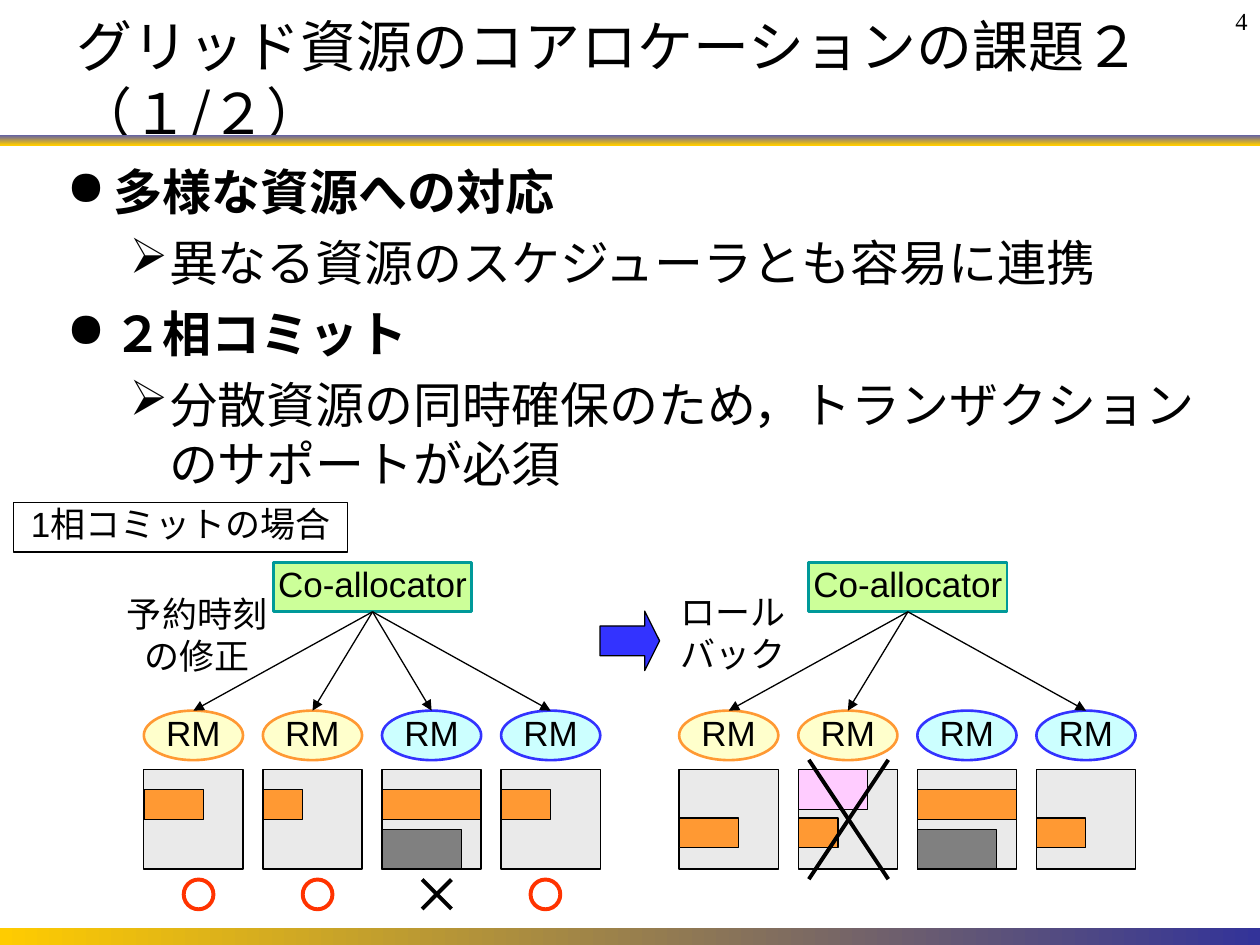
from lxml import etree
from pptx import Presentation
from pptx.dml.color import RGBColor
from pptx.enum.shapes import MSO_CONNECTOR, MSO_SHAPE
from pptx.enum.text import MSO_ANCHOR, MSO_AUTO_SIZE, PP_ALIGN
from pptx.oxml.ns import qn
from pptx.util import Pt

RECT, OVAL, ARROW = MSO_SHAPE.RECTANGLE, MSO_SHAPE.OVAL, MSO_SHAPE.RIGHT_ARROW
LINE = MSO_CONNECTOR.STRAIGHT
LEFT, MID, RIGHT = PP_ALIGN.LEFT, PP_ALIGN.CENTER, PP_ALIGN.RIGHT
CJK = "Noto Sans CJK JP"
HEX = {
    "black": "000000", "navy": "333399", "haze": "5C5CAD", "gold": "FFCC00",
    "pale": "EAEAEA", "gray": "808080", "orange": "FF9933", "pink": "FFCCFF",
    "lime": "CCFF99", "teal": "009999", "cream": "FFFFCC", "sky": "CCFFFF",
    "blue": "3333FF", "red": "FF3300",
}
RGB = {name: RGBColor.from_string(code) for name, code in HEX.items()}

deck = Presentation()
deck.slide_width, deck.slide_height = Pt(720), Pt(540)
slide = deck.slides.add_slide(deck.slide_layouts[5])
shapes = slide.shapes


def draw(kind, box, fill=None, edge="black", width=0.75):
    shape = shapes.add_shape(kind, *map(Pt, box))
    shape.shadow.inherit = False
    if fill:
        shape.fill.solid()
        shape.fill.fore_color.rgb = RGB[fill]
    else:
        shape.fill.background()
    shape.line.color.rgb = RGB[edge]
    shape.line.width = Pt(width)
    return shape


def write(shape, text, size=20, face="Arial", align=MID, wrap=False,
          anchor=MSO_ANCHOR.TOP, top=0, bold=False):
    """Fill a shape with text; a line feed starts a paragraph, \\v a line."""
    frame = shape.text_frame
    frame.auto_size = MSO_AUTO_SIZE.NONE
    frame.word_wrap = wrap
    frame.vertical_anchor = anchor
    for side, gap in {"left": 7.2, "right": 7.2, "top": top, "bottom": 3.6}.items():
        setattr(frame, "margin_" + side, Pt(gap))
    frame.text = text
    look = {"size": Pt(size), "name": face, "bold": bold}
    for para in frame.paragraphs:
        para.alignment = align
        for run in para.runs:
            for key, value in look.items():
                setattr(run.font, key, value)
            run.font.color.rgb = RGB["black"]
            latin = run.font._element.find(qn("a:latin"))
            east = etree.Element(qn("a:ea"), typeface=CJK)
            latin.addnext(east)


# Colour bars
for box, angle, tones in [
    ((0, 77, 720, 6), 270, ("haze", "gold")),
    ((0, 530.6, 720, 9.4), 0, ("gold", "navy")),
]:
    bar = draw(RECT, box)
    bar.line.fill.background()
    bar.fill.gradient()
    bar.fill.gradient_angle = angle
    for stop, tone in zip(bar.fill.gradient_stops, tones):
        stop.color.rgb = RGB[tone]

# Title, page number and points
title = shapes.title
title.left, title.top, title.width, title.height = map(Pt, (36.7, 20.2, 658.8, 49.7))
write(title, "グリッド資源のコアロケーションの課題２（１/２）", 32, CJK, LEFT, True,
      MSO_ANCHOR.MIDDLE, 3.6)
page = shapes.add_textbox(*map(Pt, (637.2, 0, 82.8, 20.2)))
write(page, "4", 14, "Times New Roman", RIGHT, True, top=3.6)

points = [
    (0, "多様な資源への対応"),
    (1, "異なる資源のスケジューラとも容易に連携"),
    (0, "２相コミット"),
    (1, "分散資源の同時確保のため，トランザクションのサポートが必須"),
]
body = shapes.add_textbox(*map(Pt, (31, 88.6, 668.9, 419.8)))
write(body, "\n".join(text for _, text in points), 28, align=LEFT, wrap=True, top=3.6)
styles = [("●", 27, -27), ("➢", 58.5, -22.5)]
for para, (level, _) in zip(body.text_frame.paragraphs, points):
    sign, margin, indent = styles[level]
    para.level = level
    para.space_before = Pt(7)
    para.runs[0].font.bold = level == 0
    props = para._p.get_or_add_pPr()
    props.set("marL", str(Pt(margin)))
    props.set("indent", str(Pt(indent)))
    etree.SubElement(props, qn("a:buChar"), char=sign)

# Captions
case = draw(RECT, (7.9, 287.3, 190.8, 28.1))
write(case, "1相コミットの場合")
for box, text in [
    ((65.5, 338.4, 94.3, 51.8), "予約時刻\nの修正"),
    ((381.6, 337.7, 74.2, 51.8), "ロール\vバック"),
]:
    write(shapes.add_textbox(*map(Pt, box)), text)

# Two allocators, each with four resource managers and their timetables
SIDE, STEP, HIGH = 56.7, 68.05, 28.3
GRID = 439.9
EARLY, LATE = 451.3, 467.5
managers = [("cream", "orange")] * 2 + [("sky", "blue")] * 2
spans = [34, 22.7, SIDE, 28.3]
lines = []
for start, slots, linked in [
    (82.2, [EARLY] * 4, (0, 1, 2, 3)),
    (388.1, [LATE, LATE, EARLY, LATE], (0, 1, 3)),
]:
    chief = draw(RECT, (start + 74, 321.3, 113.4, HIGH), "lime", "teal", 1.5)
    write(chief, "Co-allocator", anchor=MSO_ANCHOR.MIDDLE)
    for i, ((fill, edge), span, slot) in enumerate(zip(managers, spans, slots)):
        x = start + i * STEP
        node = draw(OVAL, (x, 406.1, SIDE, HIGH), fill, edge, 1.5)
        write(node, "RM", anchor=MSO_ANCHOR.MIDDLE)
        draw(RECT, (x, GRID, SIDE, SIDE), "pale")
        draw(RECT, (x, slot, span, 17), "orange")
        if i == 2:
            draw(RECT, (x, 474.2, 45.4, 22.4), "gray")
        if i in linked:
            link = shapes.add_connector(LINE, 0, 0, 0, 0)
            link.begin_connect(chief, 2)
            link.end_connect(node, 0)
            lines.append((link, 0.75, True))

draw(RECT, (388.1 + STEP, GRID, 39.7, 22.7), "pink")
step = draw(ARROW, (342.9, 349.2, 34, 34), "blue")
step.adjustments[0], step.adjustments[1] = 0.5, 0.25

# Results: rings for success, crosses for failure
for x in (105, 173, 303.2):
    draw(OVAL, (x, 502.6, 17, 17), edge="red", width=2.25)
for x, y, wide, high in [(241.2, 502.6, 16.8, 16.8), (462.2, 434.2, 45.4, 68.2)]:
    for a, b in [(x, x + wide), (x + wide, x)]:
        stroke = shapes.add_connector(LINE, Pt(a), Pt(y), Pt(b), Pt(y + high))
        lines.append((stroke, 2.25, False))

for line, width, head in lines:
    line.line.color.rgb = RGB["black"]
    line.line.width = Pt(width)
    if head:
        etree.SubElement(line.line._get_or_add_ln(), qn("a:tailEnd"), type="triangle")
    etree.SubElement(line._element.spPr, qn("a:effectLst"))

deck.save("out.pptx")
